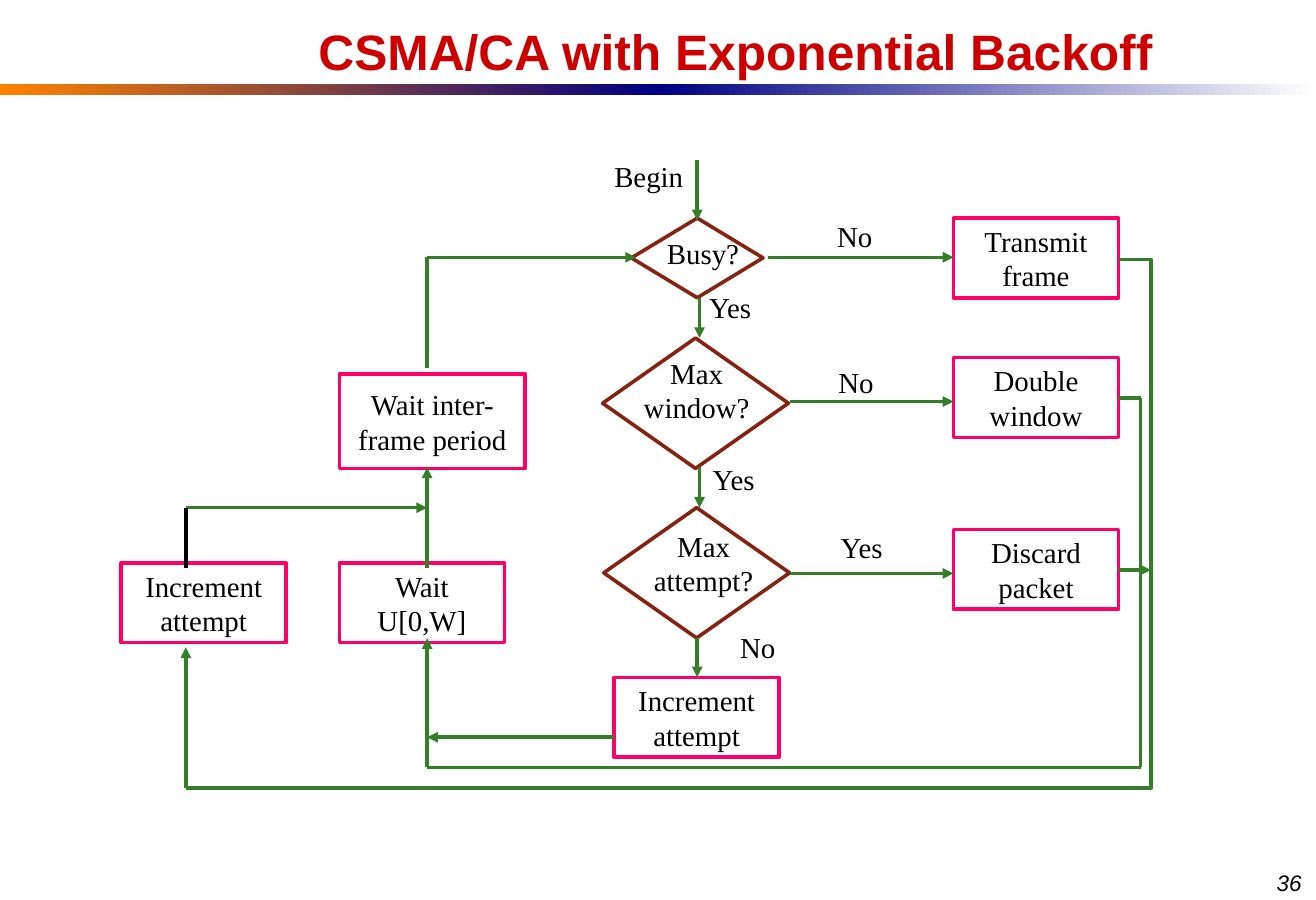
from lxml.etree import SubElement
from pptx import Presentation
from pptx.dml.color import RGBColor
from pptx.enum.shapes import MSO_CONNECTOR, MSO_SHAPE
from pptx.enum.text import MSO_ANCHOR, PP_ALIGN
from pptx.oxml.ns import qn
from pptx.util import Inches, Pt

SLIDE_W, SLIDE_H = 11.4, 7.8
BLACK = RGBColor(0x00, 0x00, 0x00)
WHITE = RGBColor(0xFF, 0xFF, 0xFF)
RED = RGBColor(0xCC, 0x00, 0x00)
ORANGE = RGBColor(0xFF, 0x82, 0x00)
NAVY = RGBColor(0x00, 0x00, 0x82)
BROWN = RGBColor(0x85, 0x23, 0x12)
PINK = RGBColor(0xFF, 0x00, 0x66)
GREEN = RGBColor(0x35, 0x7D, 0x29)

# Content
TITLE = "CSMA/CA with Exponential Backoff"
PAGE_NUMBER = "36"
RULE_COLORS = [(ORANGE, NAVY), (NAVY, WHITE)]

# Decisions: text, diamond (left, top, width, height), text (left, top, width)
DECISIONS = [
    ("Busy?", (5.47, 1.89, 1.14, 0.69), (5.57, 1.99, 1.04)),
    ("Max window?", (5.22, 2.93, 1.61, 1.13), (5.32, 3.03, 1.43)),
    ("Max attempt?", (5.23, 4.4, 1.61, 1.13), (5.38, 4.53, 1.43)),
]

# Steps: text, left, top, width, height
STEP_W, STEP_H = 1.43, 0.69
RIGHT_X, WAIT_X = 8.26, 2.94
STEPS = [
    ("Increment attempt", 5.32, 5.87, STEP_W, STEP_H),
    ("Discard packet", RIGHT_X, 4.59, STEP_W, STEP_H),
    ("Double window", RIGHT_X, 3.1, STEP_W, STEP_H),
    ("Transmit frame", RIGHT_X, 1.89, STEP_W, STEP_H),
    ("Wait inter-frame period", WAIT_X, 3.24, 1.61, 0.82),
    ("Wait U[0,W]", WAIT_X, 4.88, STEP_W, STEP_H),
    ("Increment attempt", 1.05, 4.88, STEP_W, STEP_H),
]

# Branch labels: text, left, top, width
LABELS = [
    ("Begin", 5.21, 1.33, 0.82),
    ("No", 7.14, 1.85, 0.53),
    ("No", 7.15, 3.11, 0.53),
    ("No", 6.3, 5.41, 0.53),
    ("Yes", 6.02, 2.46, 0.61),
    ("Yes", 6.05, 3.95, 0.61),
    ("Yes", 7.16, 4.54, 0.61),
]

# Flow lines: x1, y1, x2, y2
STEP_RIGHT = RIGHT_X + STEP_W
WAIT_LINE, RETRY_LINE = 3.7, 1.61
INNER_X, INNER_Y = 9.88, 6.65
OUTER_X, OUTER_Y = 9.97, 6.83
ARROWS = [
    (6.04, 1.39, 6.04, 1.91),
    (6.65, 2.23, RIGHT_X, 2.23),
    (6.84, 3.48, RIGHT_X, 3.48),
    (6.84, 4.97, RIGHT_X, 4.97),
    (6.06, 2.58, 6.06, 2.93),
    (6.06, 4.05, 6.06, 4.4),
    (6.04, 5.53, 6.04, 5.87),
    (5.32, 6.39, WAIT_LINE, 6.39),
    (WAIT_LINE, INNER_Y, WAIT_LINE, 5.53),
    (WAIT_LINE, 4.92, WAIT_LINE, 4.05),
    (WAIT_LINE, 2.23, 5.51, 2.23),
    (RETRY_LINE, OUTER_Y, RETRY_LINE, 5.61),
    (RETRY_LINE, 4.4, WAIT_LINE, 4.4),
    (STEP_RIGHT, 4.94, OUTER_X, 4.94),
]
PLAIN_LINES = [
    (WAIT_LINE, 3.19, WAIT_LINE, 2.23),
    (STEP_RIGHT, 3.45, INNER_X, 3.45),
    (INNER_X, 3.45, INNER_X, INNER_Y),
    (WAIT_LINE, INNER_Y, INNER_X, INNER_Y),
]
RETRY_STUB = (RETRY_LINE, 4.92, RETRY_LINE, 4.4)
OUTER_RETURN = (STEP_RIGHT, 2.25, RETRY_LINE, OUTER_Y)

prs = Presentation()
prs.slide_width, prs.slide_height = Inches(SLIDE_W), Inches(SLIDE_H)
slide = prs.slides.add_slide(prs.slide_layouts[6])
shapes = slide.shapes


def write(shape, text, size=18, font="Times New Roman", color=BLACK, bold=False,
          italic=False, align=PP_ALIGN.CENTER, anchor=MSO_ANCHOR.TOP, wrap=True):
    frame = shape.text_frame
    frame.text = text
    frame.word_wrap = wrap
    frame.vertical_anchor = anchor
    frame.margin_left = frame.margin_right = Inches(0.11)
    frame.margin_top = frame.margin_bottom = Inches(0.05)
    paragraph = frame.paragraphs[0]
    paragraph.alignment = align
    style = paragraph.runs[0].font
    style.name, style.size, style.bold, style.italic = font, Pt(size), bold, italic
    style.color.rgb = color
    return paragraph


def add_text(text, left, top, width, height, **style):
    box = shapes.add_textbox(*map(Inches, (left, top, width, height)))
    return write(box, text, **style)


def add_outline(kind, color, *place):
    shape = shapes.add_shape(kind, *map(Inches, place))
    shape.shadow.inherit = False
    shape.fill.background()
    shape.line.color.rgb = color
    shape.line.width = Pt(2.25)
    return shape


def add_line(ends, color=GREEN, arrow=False, kind=MSO_CONNECTOR.STRAIGHT):
    line = shapes.add_connector(kind, *map(Inches, ends))
    line.line.color.rgb = color
    line.line.width = Pt(2.25)
    if arrow:
        SubElement(line.line._get_or_add_ln(), qn("a:tailEnd"), type="triangle")
    SubElement(line._element.spPr, qn("a:effectLst"))
    return line


# Gradient rule under the title
half = SLIDE_W / 2
for i, colors in enumerate(RULE_COLORS):
    rule = shapes.add_shape(MSO_SHAPE.RECTANGLE, Inches(i * half), Inches(0.73),
                            Inches(half), Inches(0.09))
    rule.shadow.inherit = False
    rule.line.fill.background()
    rule.fill.gradient()
    rule.fill.gradient_angle = 0
    for stop, color, position in zip(rule.fill.gradient_stops, colors, (0, 1)):
        stop.color.rgb = color
        stop.position = position

# Title and page number
title = add_text(TITLE, 1.81, -0.18, 9.12, 1.3, size=31, font="Arial", color=RED,
                 bold=True, anchor=MSO_ANCHOR.MIDDLE)
title.line_spacing = 0.93
add_text(PAGE_NUMBER, 10.95, 7.48, 0.45, 0.32, size=14, font="Arial", italic=True,
         align=PP_ALIGN.LEFT, wrap=False)

# Decisions and steps
for text, diamond, (left, top, width) in DECISIONS:
    add_outline(MSO_SHAPE.FLOWCHART_DECISION, BROWN, *diamond)
    add_text(text, left, top, width, 0.71)
for text, *place in STEPS:
    step = add_outline(MSO_SHAPE.FLOWCHART_PROCESS, PINK, *place)
    write(step, text, anchor=MSO_ANCHOR.MIDDLE)

# Flow lines
for ends in ARROWS:
    add_line(ends, arrow=True)
for ends in PLAIN_LINES:
    add_line(ends)
add_line(RETRY_STUB, color=BLACK)

# The outer return bulges to the right of its start, so its bend is negative
outer = add_line(OUTER_RETURN, kind=MSO_CONNECTOR.ELBOW)
bend = (STEP_RIGHT - OUTER_X) / (STEP_RIGHT - RETRY_LINE)
geometry = outer._element.spPr.find(qn("a:prstGeom"))
guides = geometry.find(qn("a:avLst"))
if guides is None:
    guides = SubElement(geometry, qn("a:avLst"))
SubElement(guides, qn("a:gd"), name="adj1", fmla=f"val {round(bend * 100000)}")

# Branch labels
for text, left, top, width in LABELS:
    add_text(text, left, top, width, 0.41, wrap=False)

prs.save("out.pptx")
